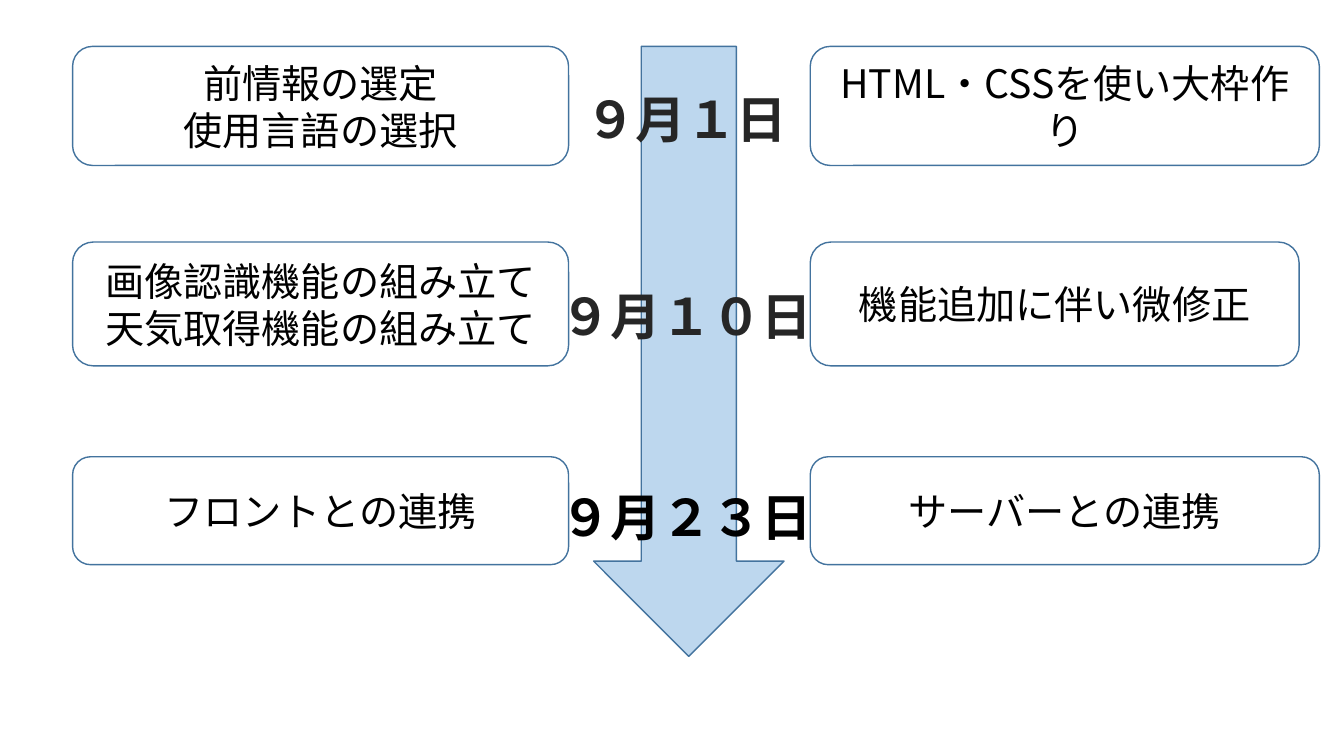
from dataclasses import dataclass

import lxml.etree
import pptx
import pptx.dml.color
import pptx.enum.shapes
import pptx.enum.text
import pptx.oxml.ns
import pptx.util

Cm = pptx.util.Cm
Pt = pptx.util.Pt
Color = pptx.dml.color.RGBColor.from_string
Shape = pptx.enum.shapes.MSO_SHAPE
Align = pptx.enum.text.PP_ALIGN
Anchor = pptx.enum.text.MSO_ANCHOR
AutoSize = pptx.enum.text.MSO_AUTO_SIZE


@dataclass(frozen=True)
class Theme:
    font: str = "Noto Sans CJK JP"
    arrow: str = "BDD7EE"
    outline: str = "43739E"
    card: str = "FFFFFF"
    text: str = "000000"
    soft_text: str = "262626"
    task_size: int = 28
    date_size: int = 36


@dataclass(frozen=True)
class Milestone:
    """One row of the schedule; lengths are in centimetres."""
    top: float
    height: float
    left_tasks: tuple
    right_tasks: tuple
    right_width: float
    date: str
    date_area: tuple
    date_color: str


THEME = Theme()
LEFT_X, LEFT_WIDTH, RIGHT_X = 1.83, 12.5, 20.42

MILESTONES = (
    Milestone(1.17, 3.0, ("前情報の選定", "使用言語の選択"),
              ("HTML・CSSを使い大枠作り",), 12.83,
              "９月１日", (14.5, 1.98, 5.74, 1.8), THEME.soft_text),
    Milestone(6.1, 3.12, ("画像認識機能の組み立て", "天気取得機能の組み立て"),
              ("機能追加に伴い微修正",), 12.32,
              "９月１０日", (13.87, 6.93, 7.34, 2.57), THEME.soft_text),
    Milestone(11.51, 2.72, ("フロントとの連携",),
              ("サーバーとの連携",), 12.83,
              "９月２３日", (13.87, 11.99, 7.06, 1.8), THEME.text),
)


def format_paragraph(para, size, color, leading, bold=False):
    """Set the type, for Latin and East Asian letters alike."""
    para.line_spacing = Pt(size * leading)
    para.font.size = Pt(size)
    para.font.bold = bold
    para.font.color.rgb = Color(color)
    para.font.name = THEME.font
    defaults = para._p.pPr.find(pptx.oxml.ns.qn("a:defRPr"))
    east_asian = lxml.etree.SubElement(defaults, pptx.oxml.ns.qn("a:ea"))
    east_asian.set("typeface", THEME.font)


def add_outlined_shape(page, kind, area, fill):
    shape = page.shapes.add_shape(kind, *map(Cm, area))
    shape.shadow.inherit = False
    shape.fill.solid()
    shape.fill.fore_color.rgb = Color(fill)
    shape.line.color.rgb = Color(THEME.outline)
    shape.line.width = Pt(1)
    return shape


def add_task_card(page, area, tasks):
    card = add_outlined_shape(page, Shape.ROUNDED_RECTANGLE, area, THEME.card)
    frame = card.text_frame
    frame.word_wrap = True
    frame.vertical_anchor = Anchor.MIDDLE
    for index, task in enumerate(tasks):
        para = frame.add_paragraph() if index else frame.paragraphs[0]
        para.text = task
        para.alignment = Align.CENTER
        format_paragraph(para, THEME.task_size, THEME.text, leading=1.2)


def add_date(page, area, date, color):
    box = page.shapes.add_textbox(*map(Cm, area))
    box.text_frame.word_wrap = True
    box.text_frame.auto_size = AutoSize.SHAPE_TO_FIT_TEXT
    para = box.text_frame.paragraphs[0]
    para.text = date
    format_paragraph(para, THEME.date_size, color, leading=1.3, bold=True)


def main():
    deck = pptx.Presentation()
    deck.slide_width, deck.slide_height = Cm(33.87), Cm(19.05)
    page = deck.slides.add_slide(deck.slide_layouts.get_by_name("Blank"))

    add_outlined_shape(page, Shape.DOWN_ARROW, (14.96, 1.17, 4.8, 15.37), THEME.arrow)
    for row in MILESTONES:
        add_task_card(page, (LEFT_X, row.top, LEFT_WIDTH, row.height), row.left_tasks)
        add_task_card(page, (RIGHT_X, row.top, row.right_width, row.height), row.right_tasks)
        add_date(page, row.date_area, row.date, row.date_color)

    deck.save("out.pptx")


if __name__ == "__main__":
    main()
